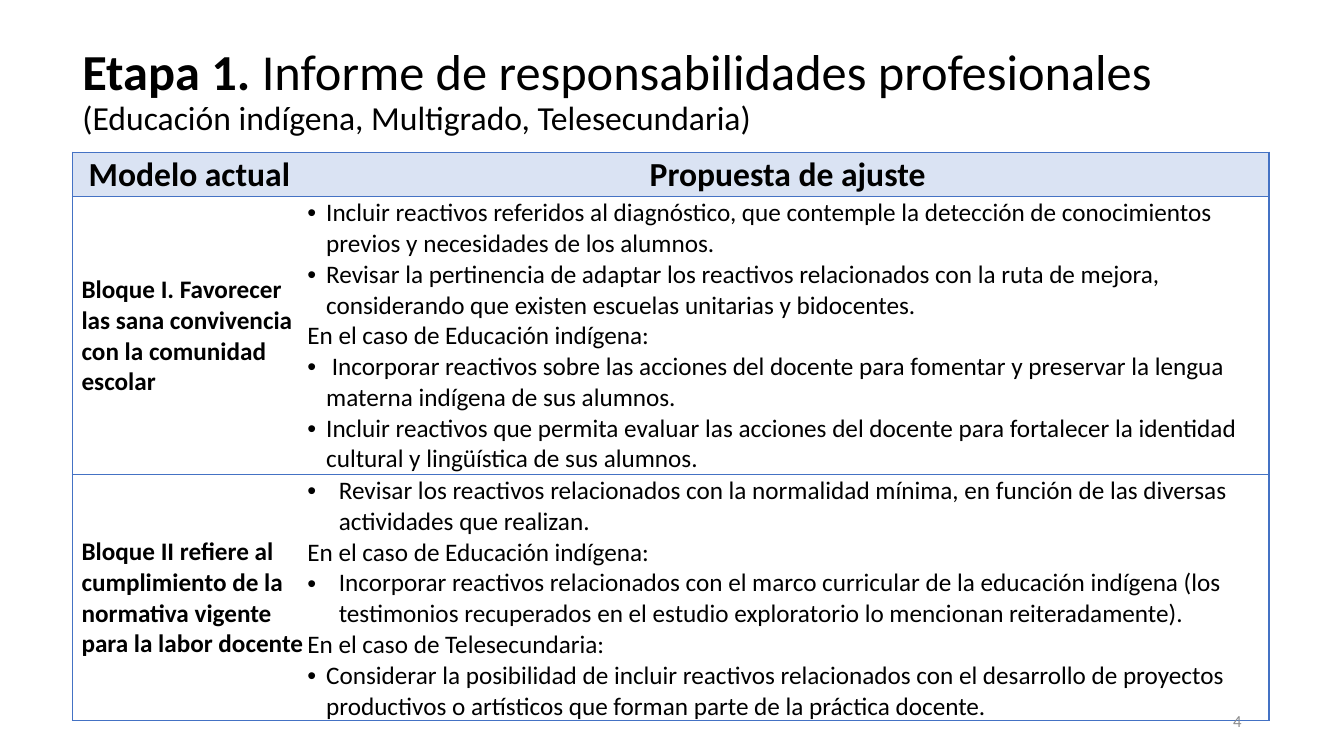
from dataclasses import dataclass

from lxml.etree import SubElement
from pptx import Presentation
from pptx.dml.color import RGBColor
from pptx.enum.text import MSO_ANCHOR, PP_ALIGN
from pptx.oxml.ns import qn
from pptx.util import Pt


@dataclass(frozen=True)
class Theme:
    font: str = "Calibri"
    ink: str = "000000"
    muted: str = "8C8C8C"
    border: str = "4472C4"
    header_fill: str = "DAE3F3"
    body_fill: str = "FFFFFF"
    title: float = 36
    heading: float = 24
    body: float = 18
    page_number: float = 12


@dataclass(frozen=True)
class Item:
    text: str
    hanging: float = 0  # bullet indent in points; 0 means no bullet


@dataclass(frozen=True)
class Block:
    name: str
    items: tuple[Item, ...]
    height: float
    anchor: MSO_ANCHOR


THEME = Theme()
NARROW, WIDE = 13.5, 22.5
COLUMN_WIDTHS = (167, 687.6)
HEADER_HEIGHT = 31.7
HEADINGS = ("Modelo actual", "Propuesta de ajuste")
OUTER_EDGES = ("lnL", "lnR")

BLOCKS = (
    Block(
        "Bloque I. Favorecer las sana convivencia con la comunidad escolar",
        (
            Item("Incluir reactivos referidos al diagnóstico, que contemple la detección de "
                 "conocimientos previos y necesidades de los alumnos.", NARROW),
            Item("Revisar la pertinencia de adaptar los reactivos relacionados con la ruta de "
                 "mejora, considerando que existen escuelas unitarias y bidocentes.", NARROW),
            Item("En el caso de Educación indígena:"),
            Item(" Incorporar reactivos sobre las acciones del docente para fomentar y preservar "
                 "la lengua materna indígena de sus alumnos.", NARROW),
            Item("Incluir reactivos que permita evaluar las acciones del docente para fortalecer "
                 "la identidad cultural y lingüística de sus alumnos.", NARROW),
        ),
        198.7,
        MSO_ANCHOR.MIDDLE,
    ),
    Block(
        "Bloque II refiere al cumplimiento de la normativa vigente para la labor docente",
        (
            Item("Revisar los reactivos relacionados con la normalidad mínima, en función de las "
                 "diversas actividades que realizan.", WIDE),
            Item("En el caso de Educación indígena:"),
            Item("Incorporar reactivos relacionados con el marco curricular de la educación "
                 "indígena (los testimonios recuperados en el estudio exploratorio lo mencionan "
                 "reiteradamente).", WIDE),
            Item("En el caso de Telesecundaria:"),
            Item("Considerar la posibilidad de incluir reactivos relacionados con el desarrollo "
                 "de proyectos productivos o artísticos que forman parte de la práctica docente.",
                 NARROW),
        ),
        175.7,
        MSO_ANCHOR.BOTTOM,
    ),
)


def add_span(para, text: str, size: float, bold: bool = False, color: str = THEME.ink) -> None:
    span = para.add_run()
    span.text = text
    span.font.name = THEME.font
    span.font.size = Pt(size)
    span.font.bold = bold
    span.font.color.rgb = RGBColor.from_string(color)


def add_text_frame(page, left: float, top: float, width: float, height: float):
    frame = page.shapes.add_textbox(Pt(left), Pt(top), Pt(width), Pt(height)).text_frame
    frame.word_wrap = True
    frame.vertical_anchor = MSO_ANCHOR.MIDDLE
    return frame


def set_indent(para, left: float, first_line: float = 0) -> None:
    properties = para._p.get_or_add_pPr()
    properties.set("marL", str(Pt(left)))
    properties.set("indent", str(Pt(first_line)))


def add_bullet(para, hanging: float) -> None:
    set_indent(para, hanging, -hanging)
    properties = para._p.get_or_add_pPr()
    SubElement(properties, qn("a:buFont"), typeface="Arial")
    SubElement(properties, qn("a:buChar"), char="•")


def style_cell(cell, column: int, fill: str, anchor: MSO_ANCHOR) -> None:
    """Rule the cell above, below and on its outer side only, then fill it."""
    cell.margin_left = cell.margin_right = cell.margin_top = Pt(0.75)
    cell.margin_bottom = Pt(0)
    cell.vertical_anchor = anchor
    properties = cell._tc.get_or_add_tcPr()
    for edge in ("lnL", "lnR", "lnT", "lnB"):
        line = SubElement(properties, qn(f"a:{edge}"), w=str(Pt(1)))
        if edge in OUTER_EDGES and edge != OUTER_EDGES[column]:
            SubElement(line, qn("a:noFill"))
        else:
            solid = SubElement(line, qn("a:solidFill"))
            SubElement(solid, qn("a:srgbClr"), val=THEME.border)
    cell.fill.solid()
    cell.fill.fore_color.rgb = RGBColor.from_string(fill)


def fill_block_row(table, row: int, block: Block) -> None:
    table.rows[row].height = Pt(block.height)
    name_cell, items_cell = table.cell(row, 0), table.cell(row, 1)
    style_cell(name_cell, 0, THEME.body_fill, MSO_ANCHOR.MIDDLE)
    style_cell(items_cell, 1, THEME.body_fill, block.anchor)
    name_para = name_cell.text_frame.paragraphs[0]
    set_indent(name_para, 5.75)
    add_span(name_para, block.name, THEME.body, bold=True)
    frame = items_cell.text_frame
    for index, item in enumerate(block.items):
        para = frame.add_paragraph() if index else frame.paragraphs[0]
        if item.hanging:
            add_bullet(para, item.hanging)
        add_span(para, item.text, THEME.body)


def add_title(page) -> None:
    para = add_text_frame(page, 51.8, 13.7, 842.4, 104.4).paragraphs[0]
    para.line_spacing = 0.9
    add_span(para, "Etapa 1. ", THEME.title, bold=True)
    add_span(para, "Informe de responsabilidades profesionales", THEME.title)
    para.add_line_break()
    add_span(para, "(Educación indígena, Multigrado, Telesecundaria)", THEME.heading)


def add_blocks_table(page) -> None:
    height = HEADER_HEIGHT + sum(block.height for block in BLOCKS)
    table = page.shapes.add_table(
        len(BLOCKS) + 1, len(HEADINGS), Pt(51.8), Pt(108.7), Pt(sum(COLUMN_WIDTHS)), Pt(height)
    ).table
    table.horz_banding = False
    table.rows[0].height = Pt(HEADER_HEIGHT)
    for column, (heading, width) in enumerate(zip(HEADINGS, COLUMN_WIDTHS)):
        table.columns[column].width = Pt(width)
        cell = table.cell(0, column)
        style_cell(cell, column, THEME.header_fill, MSO_ANCHOR.MIDDLE)
        para = cell.text_frame.paragraphs[0]
        para.alignment = PP_ALIGN.CENTER
        add_span(para, heading, THEME.heading, bold=True)
    for row, block in enumerate(BLOCKS, start=1):
        fill_block_row(table, row, block)


def add_page_number(page) -> None:
    para = add_text_frame(page, 678, 500.5, 216, 28.75).paragraphs[0]
    para.alignment = PP_ALIGN.RIGHT
    add_span(para, "4", THEME.page_number, color=THEME.muted)


def main() -> None:
    deck = Presentation()
    deck.slide_width, deck.slide_height = Pt(960), Pt(540)
    page = deck.slides.add_slide(deck.slide_layouts[6])
    add_title(page)
    add_blocks_table(page)
    add_page_number(page)
    deck.save("out.pptx")


if __name__ == "__main__":
    main()
